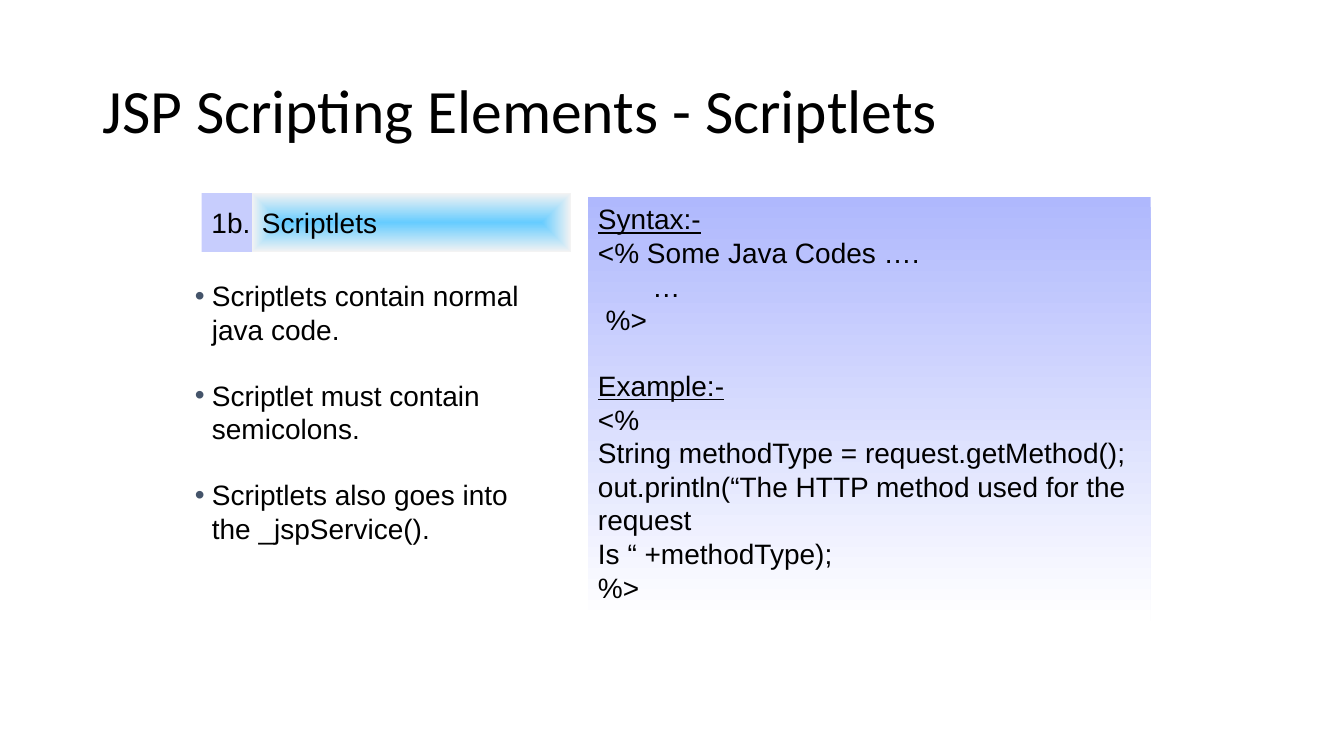
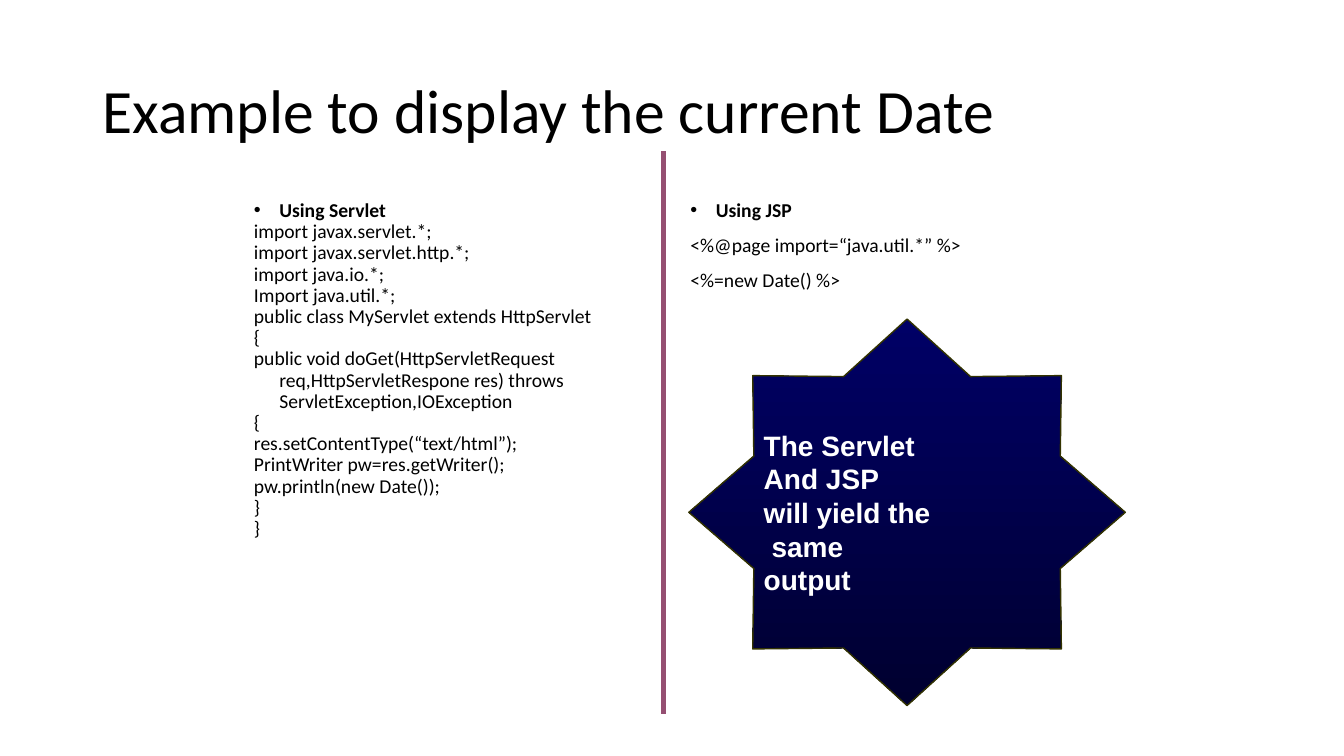
from lxml.etree import SubElement
from pptx import Presentation
from pptx.dml.color import RGBColor
from pptx.enum.shapes import MSO_CONNECTOR, MSO_SHAPE
from pptx.enum.text import MSO_ANCHOR, PP_ALIGN
from pptx.oxml.ns import qn
from pptx.util import Cm, Pt

COLORS = {
    "text": "000000",
    "light": "FFFFFF",
    "bullet": "44546A",
    "title_shadow": "808099",
    "panel": "AFB8FD",
    "number": "C7CDFD",
    "label": "66CCFF",
    "label_edge": "F3F3F3",
    "star_top": "000066",
    "star_bottom": "00002F",
    "star_line": "333300",
    "divider": "954F72",
}
BLANK_LINE = Pt(23)
CODE_INDENT = Cm(0.64)

SCRIPTLETS_TITLE = "JSP Scripting Elements - Scriptlets"
SCRIPTLET_NUMBER = "1b."
SCRIPTLET_LABEL = "Scriptlets"
SCRIPTLET_FACTS = [
    "Scriptlets contain normal\vjava code.",
    "Scriptlet must contain\vsemicolons.",
    "Scriptlets also goes into\vthe _jspService().",
]
SCRIPTLET_CODE = [
    ("Syntax:-", [
        "<% Some Java Codes ….",
        "       …",
        " %>",
    ]),
    ("Example:-", [
        "<%",
        "String methodType = request.getMethod();",
        "out.println(“The HTTP method used for the request",
        "Is “ +methodType);",
        "%>",
    ]),
]

DATE_TITLE = "Example to display the current Date"
DATE_COLUMNS = [
    (Cm(6.15), "Using Servlet", Pt(0), [
        "import javax.servlet.*;",
        "import javax.servlet.http.*;",
        "import java.io.*;",
        "Import java.util.*;",
        "public class MyServlet extends HttpServlet",
        "{",
        "public void doGet(HttpServletRequest req,HttpServletRespone res) "
        "throws ServletException,IOException",
        "{",
        "res.setContentType(“text/html”);",
        "PrintWriter pw=res.getWriter();",
        "pw.println(new Date());",
        "}",
        "}",
    ]),
    (Cm(17.15), "Using JSP", Pt(10), [
        "<%@page import=“java.util.*” %>",
        "<%=new Date() %>",
    ]),
]
STAR_LINES = ["The Servlet", "And JSP", "will yield the", " same", "output"]


def rgb(name):
    return RGBColor.from_string(COLORS[name])


def add_color(parent, name):
    return SubElement(parent, qn("a:srgbClr"), val=COLORS[name])


def add_paragraph(frame, text, size=20, font="Arial", color="text", bold=False,
                  underline=False, before=Pt(0), spacing=None, indent=None, bullet=None):
    first = len(frame.paragraphs) == 1 and not frame.paragraphs[0].runs
    paragraph = frame.paragraphs[0] if first else frame.add_paragraph()
    paragraph.text = text
    paragraph.alignment = PP_ALIGN.LEFT
    properties = paragraph._p.get_or_add_pPr()
    if indent:
        properties.set("marL", str(indent))
        properties.set("indent", str(-indent))
    if bullet:
        add_color(SubElement(properties, qn("a:buClr")), bullet)
        SubElement(properties, qn("a:buFont"), typeface="Arial")
        SubElement(properties, qn("a:buChar"), char="•")
    if not first:
        paragraph.space_before = before
    if spacing:
        paragraph.line_spacing = spacing
    paragraph.font.size = Pt(size)
    paragraph.font.name = font
    paragraph.font.bold = bold
    paragraph.font.underline = underline
    paragraph.font.color.rgb = rgb(color)
    return paragraph


def add_text_box(slide, left, top, width, height):
    frame = slide.shapes.add_textbox(left, top, width, height).text_frame
    frame.word_wrap = True
    return frame


def add_box(slide, kind, left, top, width, height, fill, anchor=MSO_ANCHOR.MIDDLE):
    shape = slide.shapes.add_shape(kind, left, top, width, height)
    shape.shadow.inherit = False
    shape.line.fill.background()
    if len(fill) == 1:
        shape.fill.solid()
        shape.fill.fore_color.rgb = rgb(fill[0])
    else:
        shape.fill.gradient()
        shape.fill.gradient_angle = 270
        for stop, name in zip(shape.fill.gradient_stops, fill):
            stop.color.rgb = rgb(name)
    shape.text_frame.word_wrap = True
    shape.text_frame.vertical_anchor = anchor
    return shape


def make_gradient_radiate(shape):
    gradient = shape._element.spPr.find(qn("a:gradFill"))
    gradient.remove(gradient.find(qn("a:lin")))
    radiating = SubElement(gradient, qn("a:path"), path="shape")
    SubElement(radiating, qn("a:fillToRect"), l="50000", t="50000", r="50000", b="50000")


def add_titled_slide(presentation, text):
    slide = presentation.slides.add_slide(presentation.slide_layouts[5])
    title = slide.shapes.title
    title.left, title.top, title.width, title.height = Cm(2.33), Cm(1.01), Cm(29.21), Cm(3.68)
    title.text_frame.vertical_anchor = MSO_ANCHOR.MIDDLE
    paragraph = add_paragraph(title.text_frame, text, 44, "Calibri", spacing=0.9)
    run_properties = paragraph.runs[0]._r.get_or_add_rPr()
    effects = SubElement(run_properties, qn("a:effectLst"))
    shadow = SubElement(effects, qn("a:outerShdw"), dist="35921", dir="2700000")
    add_color(shadow, "title_shadow")
    return slide


def build_scriptlets(presentation):
    slide = add_titled_slide(presentation, SCRIPTLETS_TITLE)

    facts = add_text_box(slide, Cm(4.66), Cm(5.29), Cm(9.1), Cm(11))
    facts.vertical_anchor = MSO_ANCHOR.MIDDLE
    facts.margin_bottom = Cm(0.13) + BLANK_LINE
    for fact in SCRIPTLET_FACTS:
        add_paragraph(facts, fact, before=BLANK_LINE, indent=Cm(0.43), bullet="bullet")

    panel = add_box(slide, MSO_SHAPE.RECTANGLE, Cm(14.82), Cm(4.96), Cm(14.18), Cm(10.69),
                    ["panel", "light"], MSO_ANCHOR.TOP)
    for heading, code in SCRIPTLET_CODE:
        add_paragraph(panel.text_frame, heading, underline=True, before=BLANK_LINE)
        for line in code:
            add_paragraph(panel.text_frame, line)

    top, height = Cm(4.87), Cm(1.48)
    label = add_box(slide, MSO_SHAPE.RECTANGLE, Cm(6.35), top, Cm(8.04), height,
                    ["label", "label_edge"])
    make_gradient_radiate(label)
    add_paragraph(label.text_frame, SCRIPTLET_LABEL)
    number = add_box(slide, MSO_SHAPE.RECTANGLE, Cm(5.08), top, Cm(1.27), height, ["number"])
    number.text_frame.margin_right = 0
    add_paragraph(number.text_frame, SCRIPTLET_NUMBER)


def build_date_example(presentation):
    slide = add_titled_slide(presentation, DATE_TITLE)

    for left, heading, gap, code in DATE_COLUMNS:
        column = add_text_box(slide, left, Cm(4.93), Cm(10.59), Cm(10.85))
        add_paragraph(column, heading, 14, "Calibri", bold=True, spacing=0.9,
                      indent=CODE_INDENT, bullet="text")
        for line in code:
            add_paragraph(column, line, 14, "Calibri", before=gap, spacing=0.9,
                          indent=CODE_INDENT)

    star = add_box(slide, MSO_SHAPE.STAR_8_POINT, Cm(17.36), Cm(8.04), Cm(11), Cm(9.74),
                   ["star_top", "star_bottom"])
    star.adjustments[0] = 0.38
    star.line.color.rgb = rgb("star_line")
    star.line.width = Pt(1)
    for line in STAR_LINES:
        add_paragraph(star.text_frame, line, color="light", bold=True)

    divider = slide.shapes.add_connector(MSO_CONNECTOR.STRAIGHT,
                                         Cm(16.72), Cm(3.81), Cm(16.72), Cm(17.99))
    divider.line.color.rgb = rgb("divider")
    divider.line.width = Pt(3)
    SubElement(divider._element.spPr, qn("a:effectLst"))


def main():
    presentation = Presentation()
    presentation.slide_width, presentation.slide_height = Cm(33.87), Cm(19.05)
    build_scriptlets(presentation)
    build_date_example(presentation)
    presentation.save("out.pptx")


if __name__ == "__main__":
    main()
